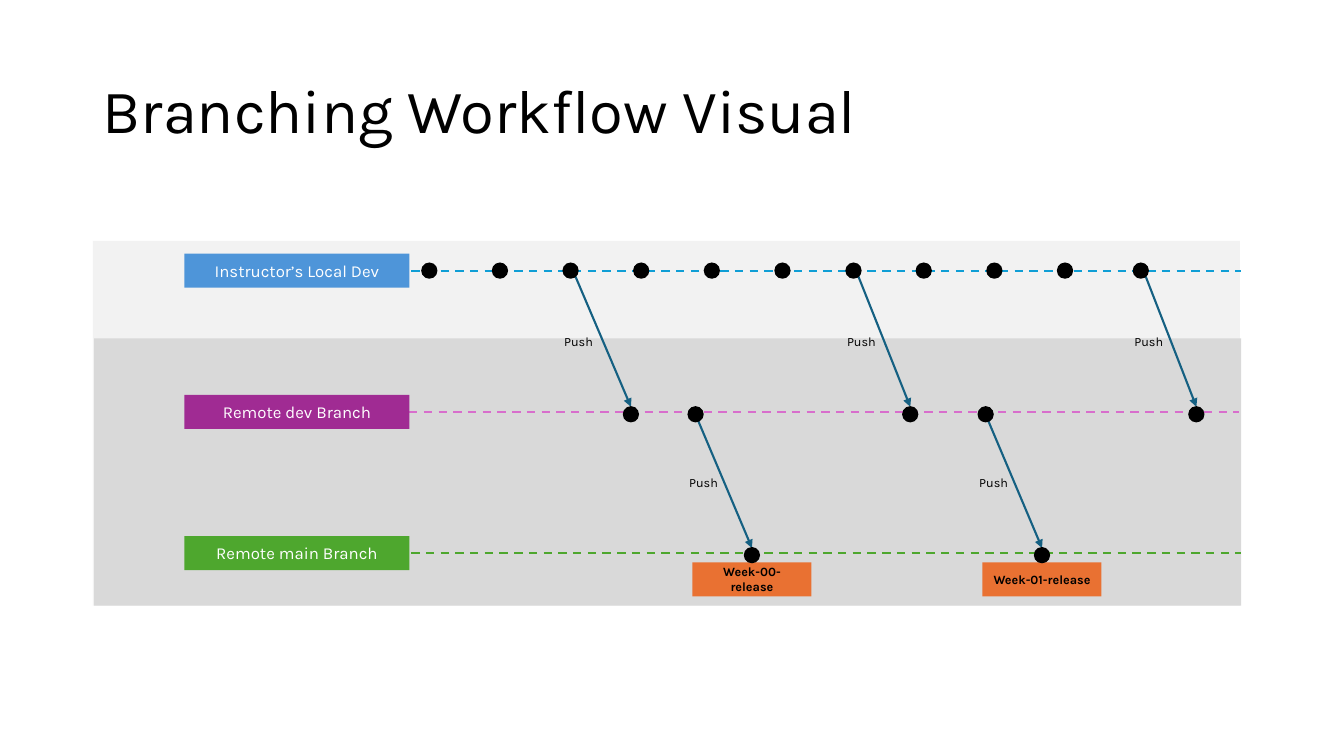
import pptx
import pptx.util
import pptx.dml.color
import pptx.enum.dml
import pptx.enum.shapes
import pptx.enum.text
import pptx.oxml.ns
import lxml.etree

Cm = pptx.util.Cm
Pt = pptx.util.Pt
KIND = pptx.enum.shapes.MSO_SHAPE
LINK = pptx.enum.shapes.MSO_CONNECTOR.STRAIGHT
ALIGN = pptx.enum.text.PP_ALIGN
MIDDLE = pptx.enum.text.MSO_ANCHOR.MIDDLE
DASH = pptx.enum.dml.MSO_LINE.DASH
qn = pptx.oxml.ns.qn

FONT = "Karla"
LANES = [
    ("Instructor’s Local Dev", "4E95D9", "0F9ED5", 0),
    ("Remote dev Branch", "A02B93", "D86ECC", -0.05),
    ("Remote main Branch", "4EA72E", "4EA72E", 0),
]
PUSHES = [
    (0, 12.04, 13.56),
    (0, 19.17, 20.6),
    (0, 26.41, 27.81),
    (1, 15.19, 16.61),
    (1, 22.5, 23.92),
]
TAGS = [("Week-00-release", 16.61), ("Week-01-release", 23.92)]
FIRST, PITCH, COUNT = 8.48, 1.78, 10
DOT = 0.41
SINK = [0, 0.06, 0.05]


def color(text):
    return pptx.dml.color.RGBColor.from_string(text)


def write(frame, text, size, ink, bold=False, align=ALIGN.CENTER):
    frame.text = text
    frame.word_wrap = True
    frame.vertical_anchor = MIDDLE
    par = frame.paragraphs[0]
    par.alignment = align
    font = par.runs[0].font
    font.name, font.size, font.bold = FONT, Pt(size), bold
    font.color.rgb = color(ink)


def block(slide, kind, left, top, width, height, fill):
    shape = slide.shapes.add_shape(kind, Cm(left), Cm(top), Cm(width), Cm(height))
    shape.shadow.inherit = False
    shape.fill.solid()
    shape.fill.fore_color.rgb = color(fill)
    shape.line.fill.background()
    return shape


def stroke(slide, x1, y1, x2, y2, ink):
    line = slide.shapes.add_connector(LINK, Cm(x1), Cm(y1), Cm(x2), Cm(y2))
    line.line.color.rgb = color(ink)
    line.line.width = Pt(1.5)
    lxml.etree.SubElement(line._element.spPr, qn("a:effectLst"))
    return line


def dot(slide, x, y):
    block(slide, KIND.OVAL, x - DOT / 2, y - DOT / 2, DOT, DOT, "000000")


def level(top, row):
    return top + 0.75 + 3.56 * row


def title(slide, left, top, width, height):
    head = slide.shapes.title
    head.left, head.top = Cm(left), Cm(top)
    head.width, head.height = Cm(width), Cm(height)
    write(head.text_frame, "Branching Workflow Visual", 44, "000000", align=ALIGN.LEFT)
    head.text_frame.paragraphs[0].line_spacing = 0.9


def lane(slide, left, y, name, fill, ink, shift):
    start = left + 8.02 + shift
    stroke(slide, start, y, start + 20.91, y, ink).line.dash_style = DASH
    label = block(slide, KIND.RECTANGLE, left + 2.31, y - 0.43, 5.67, 0.86, fill)
    write(label.text_frame, name, 12, "FFFFFF")


def push(slide, left, top, row, start, end):
    y1, y2 = level(top, row), level(top, row + 1)
    lean = 0.03 if row else 0.12
    arrow = stroke(slide, left + start + lean, y1 + 0.14, left + end, y2 - 0.13, "156082")
    lxml.etree.SubElement(arrow.line._get_or_add_ln(), qn("a:tailEnd"), type="triangle")
    dot(slide, left + start, y1 + SINK[row])
    dot(slide, left + end, y2 + SINK[row + 1])
    note = slide.shapes.add_textbox(
        Cm(left + start - 0.55), Cm((y1 + y2) / 2 - 0.43), Cm(1.5), Cm(0.86))
    write(note.text_frame, "Push", 9, "000000")


def flow(slide, left, top, width, height):
    block(slide, KIND.RECTANGLE, left, top, width, height, "F2F2F2")
    block(slide, KIND.RECTANGLE, left + 0.03, top + 2.46, width, height - 2.46, "D9D9D9")
    for row, item in enumerate(LANES):
        lane(slide, left, level(top, row), *item)
    for name, x in TAGS:
        tag = block(slide, KIND.RECTANGLE, left + x - 1.5, level(top, 2) + 0.23,
                    3, 0.86, "E97132")
        write(tag.text_frame, name, 9, "000000", True)
    starts = [start for row, start, end in PUSHES if row == 0]
    for step in range(COUNT):
        x = FIRST + PITCH * step
        if all(abs(x - start) > DOT for start in starts):
            dot(slide, left + x, level(top, 0))
    for item in PUSHES:
        push(slide, left, top, *item)


def main():
    deck = pptx.Presentation()
    deck.slide_width, deck.slide_height = Cm(33.87), Cm(19.05)
    slide = deck.slides.add_slide(deck.slide_layouts[5])
    title(slide, 2.33, 1.01, 29.21, 3.68)
    flow(slide, 2.34, 6.07, 28.91, 9.19)
    deck.save("out.pptx")


if __name__ == "__main__":
    main()
